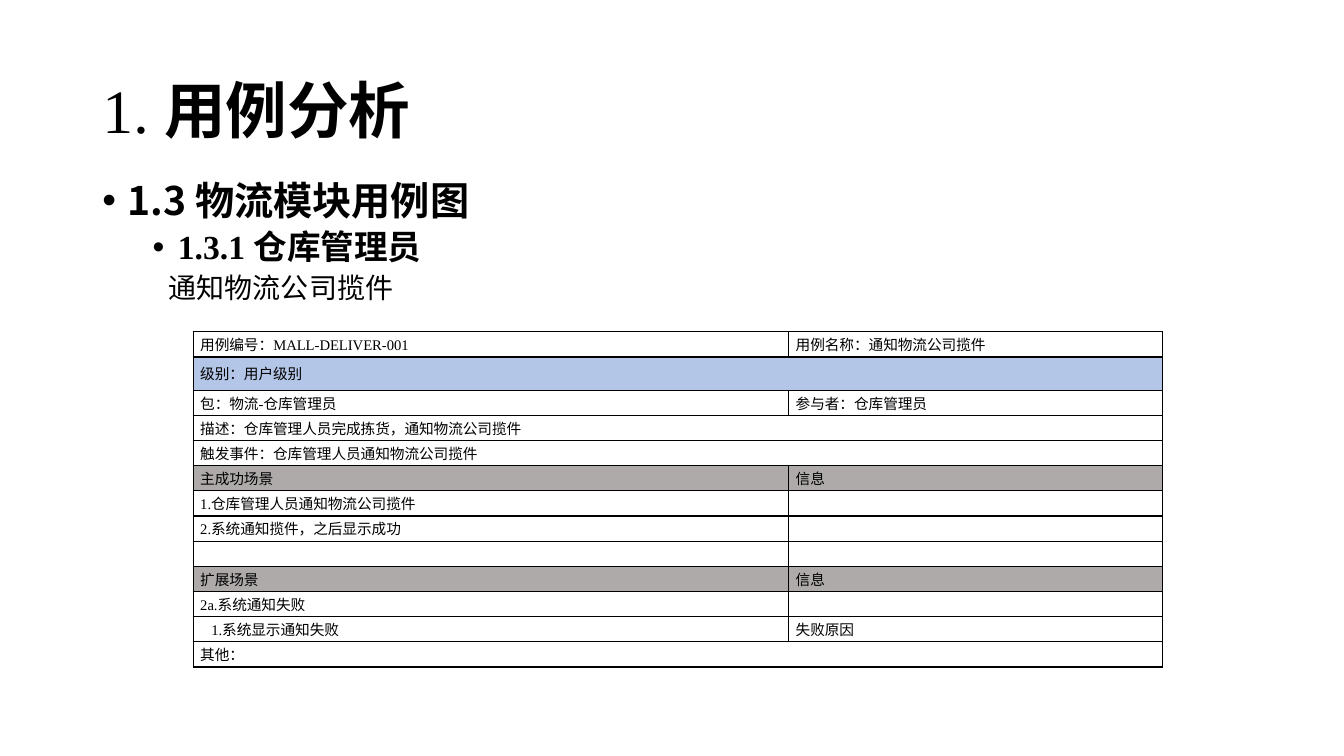
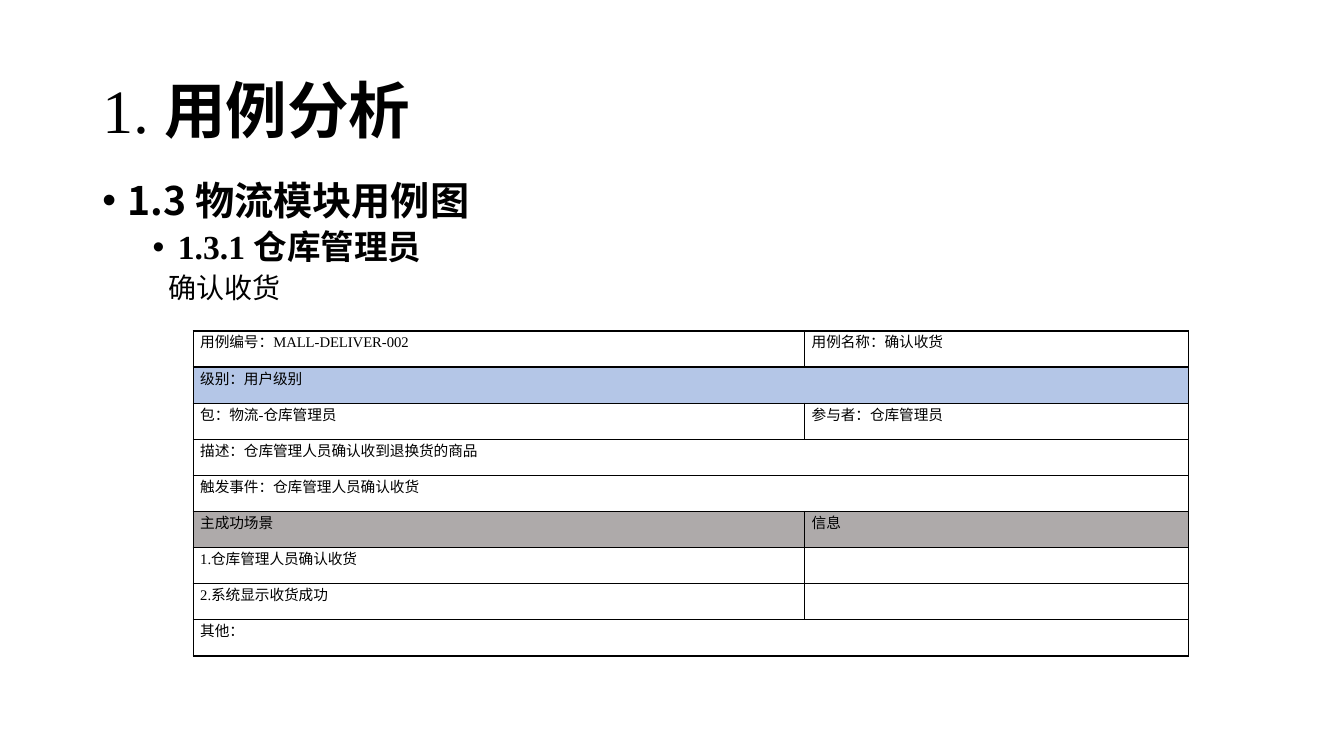
"""Build two use-case slides, each with a title, an outline and a table."""
from lxml import etree
from pptx import Presentation, util as u
from pptx.dml.color import RGBColor
from pptx.enum import text
from pptx.oxml import ns

BLACK = RGBColor(0x00, 0x00, 0x00)
WHITE = RGBColor(0xFF, 0xFF, 0xFF)
BLUE = RGBColor(0xB4, 0xC6, 0xE7)
GREY = RGBColor(0xAE, 0xAA, 0xAA)
SERIF = "Times New Roman"
SANS = "Noto Sans CJK SC"
COLUMNS = 160


class Deck:
    """Hold the shared style and the current slide."""

    def __init__(self):
        self.prs = Presentation()
        self.prs.slide_width, self.prs.slide_height = u.Inches(13.333), u.Inches(7.5)
        self.s = None

    def grid(self, *units):
        """Turn grid units into lengths."""
        return [round(n * self.prs.slide_width / COLUMNS) for n in units]

    def add_slide(self):
        """Start a title-only slide."""
        self.s = self.prs.slides.add_slide(self.prs.slide_layouts[5])

    def run(self, p, words, size, bold=False, font=SERIF):
        """Add one run with Latin and East Asian fonts."""
        r = p.add_run()
        r.text = words
        r.font.size, r.font.bold, r.font.name = u.Pt(size), bold, font
        r.font.color.rgb = BLACK
        ea = etree.Element(ns.qn("a:ea"), typeface=SANS)
        r.font._element.find(ns.qn("a:latin")).addnext(ea)

    def title(self, number, words):
        """Fill and place the title."""
        sp = self.s.shapes.title
        sp.left, sp.top, sp.width, sp.height = self.grid(11, 4.8, 138, 17.4)
        tf = sp.text_frame
        tf.auto_size = text.MSO_AUTO_SIZE.NONE
        tf.vertical_anchor = text.MSO_ANCHOR.MIDDLE
        p = tf.paragraphs[0]
        p.alignment, p.line_spacing = text.PP_ALIGN.LEFT, 0.9
        self.run(p, number, 44)
        self.run(p, words, 44, True)

    def outline(self, *items):
        """Add paragraphs given as indent, bullet flag and runs."""
        sp = self.s.shapes.add_textbox(*self.grid(11, 21, 138, 17))
        tf = sp.text_frame
        tf.word_wrap = True
        for i, (indent, bullet, runs) in enumerate(items):
            p = tf.add_paragraph() if i else tf.paragraphs[0]
            p.line_spacing = 0.9
            p.space_before = u.Pt(5 if i else 0)
            pPr = p._p.get_or_add_pPr()
            pPr.set("marL", str(u.Inches(indent)))
            if bullet:
                pPr.set("indent", str(-u.Inches(0.25)))
                etree.SubElement(pPr, ns.qn("a:buFont"), typeface="Arial")
                etree.SubElement(pPr, ns.qn("a:buChar"), char="•")
            for r in runs:
                self.run(p, *r)

    def borders(self, cell):
        """Draw thin black lines around a cell."""
        tcPr = cell._tc.get_or_add_tcPr()
        for i, side in enumerate("LRTB"):
            ln = etree.Element(ns.qn("a:ln" + side), w=str(u.Pt(1)))
            fill = etree.SubElement(ln, ns.qn("a:solidFill"))
            etree.SubElement(fill, ns.qn("a:srgbClr"), val=str(BLACK))
            tcPr.insert(i, ln)

    def cell(self, cell, words, fill, anchor):
        """Style and fill one table cell."""
        cell.margin_left = cell.margin_right = u.Inches(0.07)
        cell.margin_top = cell.margin_bottom = 0
        cell.vertical_anchor = anchor
        cell.fill.solid()
        cell.fill.fore_color.rgb = fill
        self.borders(cell)
        p = cell.text_frame.paragraphs[0]
        p.alignment = text.PP_ALIGN.JUSTIFY
        if words:
            if words.startswith("\t"):
                p._p.get_or_add_pPr().set("marL", str(u.Inches(0.11)))
            self.run(p, words.strip(), 10.5)
        else:
            etree.SubElement(p._p, ns.qn("a:endParaRPr"), sz="1050")

    def table(self, top, widths, heights, rows, anchor):
        """Add a table; a row with one text spans both columns."""
        frame = self.s.shapes.add_table(
            len(rows), 2, *self.grid(23, top, sum(widths), sum(heights)))
        tbl = frame.table
        tbl.first_row = tbl.horz_banding = False
        for col, width in zip(tbl.columns, self.grid(*widths)):
            col.width = width
        for i, (fill, *words) in enumerate(rows):
            tbl.rows[i].height = self.grid(heights[i])[0]
            for j, word in enumerate((words + [""])[:2]):
                self.cell(tbl.cell(i, j), word, fill, anchor)
            if len(words) == 1:
                tbl.cell(i, 0).merge(tbl.cell(i, 1))


def use_case(deck, number, name, description, trigger, steps, **layout):
    """Add the slide of one use case."""
    deck.add_slide()
    deck.title("1. ", "用例分析")
    deck.outline(
        (0.25, True, [("1.3 物流模块用例图", 28, True, SANS)]),
        (0.75, True, [("1.3.1 ", 24, True), ("仓库管理员", 24, True, SANS)]),
        (0.66, False, [(name, 20, False, SANS)]))
    rows = [
        (WHITE, "用例编号：MALL-DELIVER-" + number, "用例名称：" + name),
        (BLUE, "级别：用户级别"),
        (WHITE, "包：物流-仓库管理员", "参与者：仓库管理员"),
        (WHITE, "描述：" + description),
        (WHITE, "触发事件：" + trigger),
        (GREY, "主成功场景", "信息"),
        *steps,
        (WHITE, "其他：")]
    deck.table(rows=rows, **layout)


def main():
    """Build and save the deck."""
    deck = Deck()
    use_case(
        deck, "001", "通知物流公司揽件",
        "仓库管理人员完成拣货，通知物流公司揽件", "仓库管理人员通知物流公司揽件",
        [(WHITE, "1.仓库管理人员通知物流公司揽件", ""),
         (WHITE, "2.系统通知揽件，之后显示成功", ""),
         (WHITE, "", ""),
         (GREY, "扩展场景", "信息"),
         (WHITE, "2a.系统通知失败", ""),
         (WHITE, "\t1.系统显示通知失败", "失败原因")],
        top=39.5, widths=(70.9, 44.5), heights=[3, 3.95] + [3] * 11,
        anchor=text.MSO_ANCHOR.MIDDLE)
    use_case(
        deck, "002", "确认收货",
        "仓库管理人员确认收到退换货的商品", "仓库管理人员确认收货",
        [(WHITE, "1.仓库管理人员确认收货", ""),
         (WHITE, "2.系统显示收货成功", "")],
        top=39.4, widths=(72.8, 45.7), heights=[4.3] * 9,
        anchor=text.MSO_ANCHOR.TOP)
    deck.prs.save("out.pptx")


if __name__ == "__main__":
    main()
